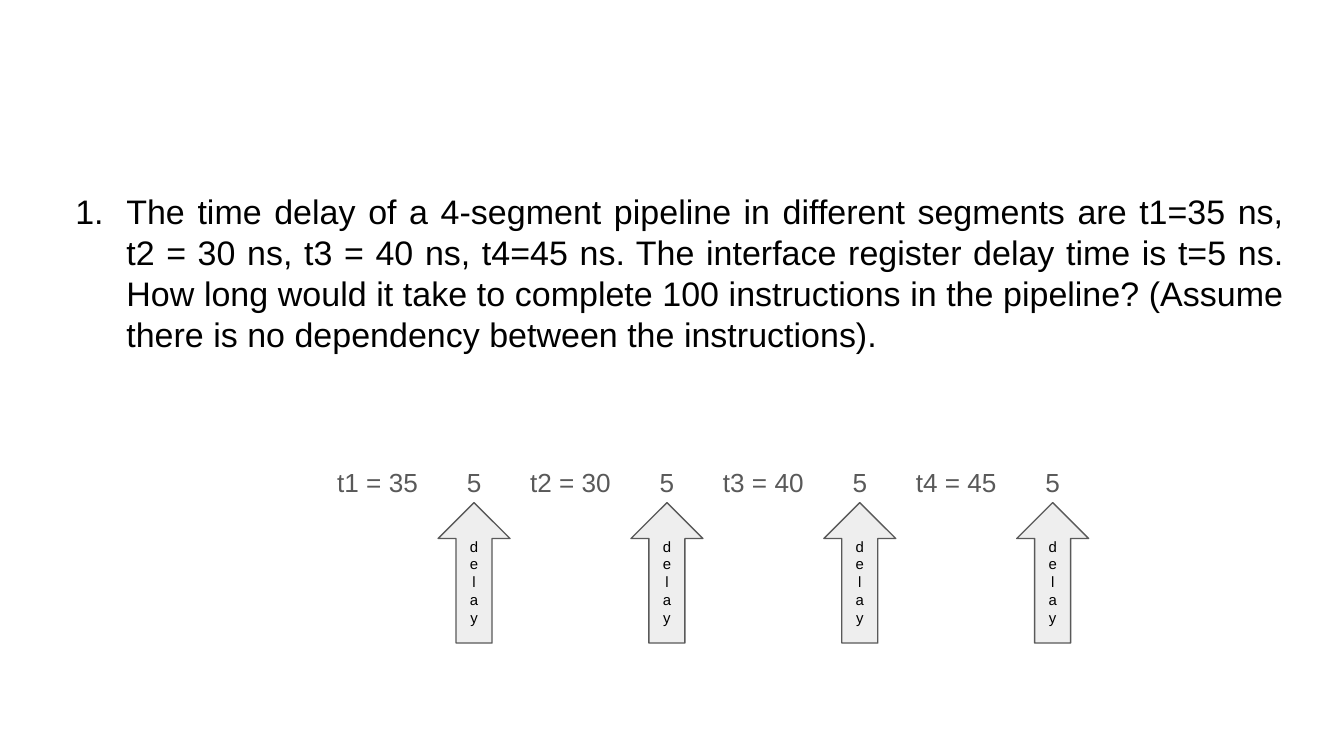
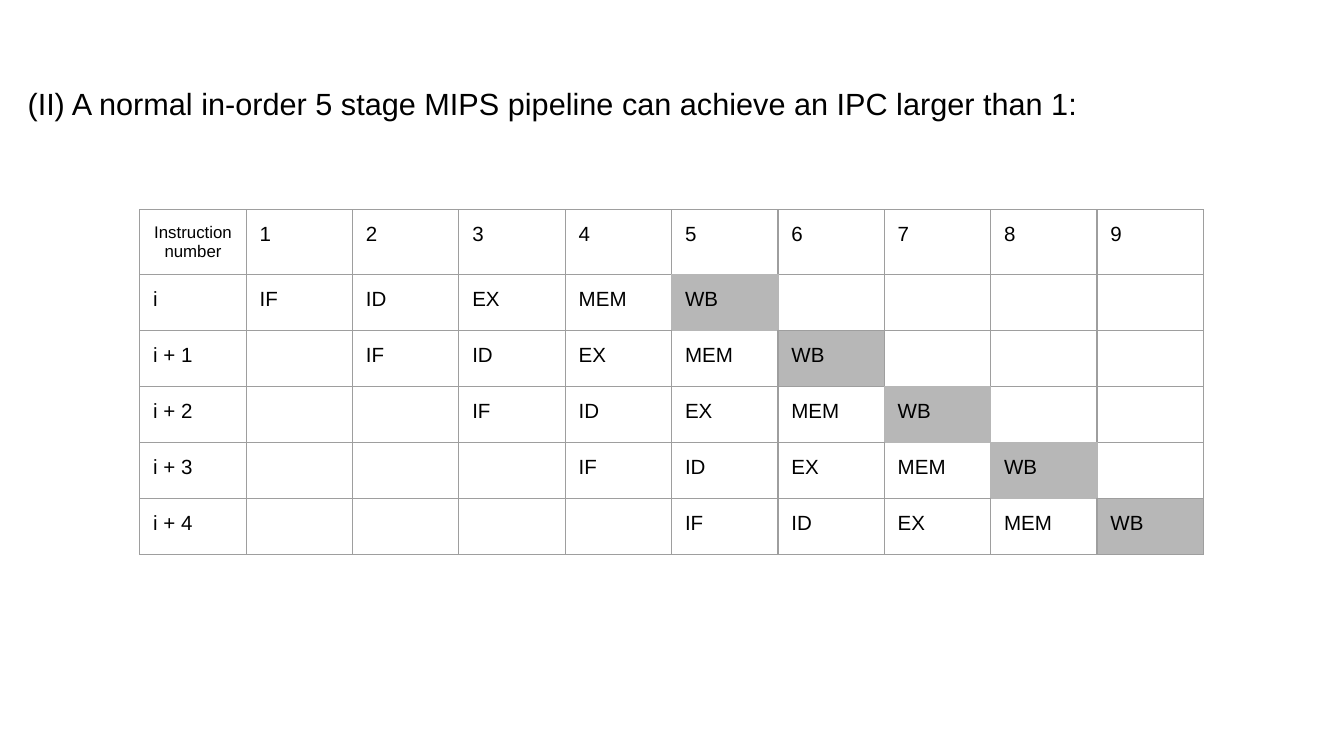
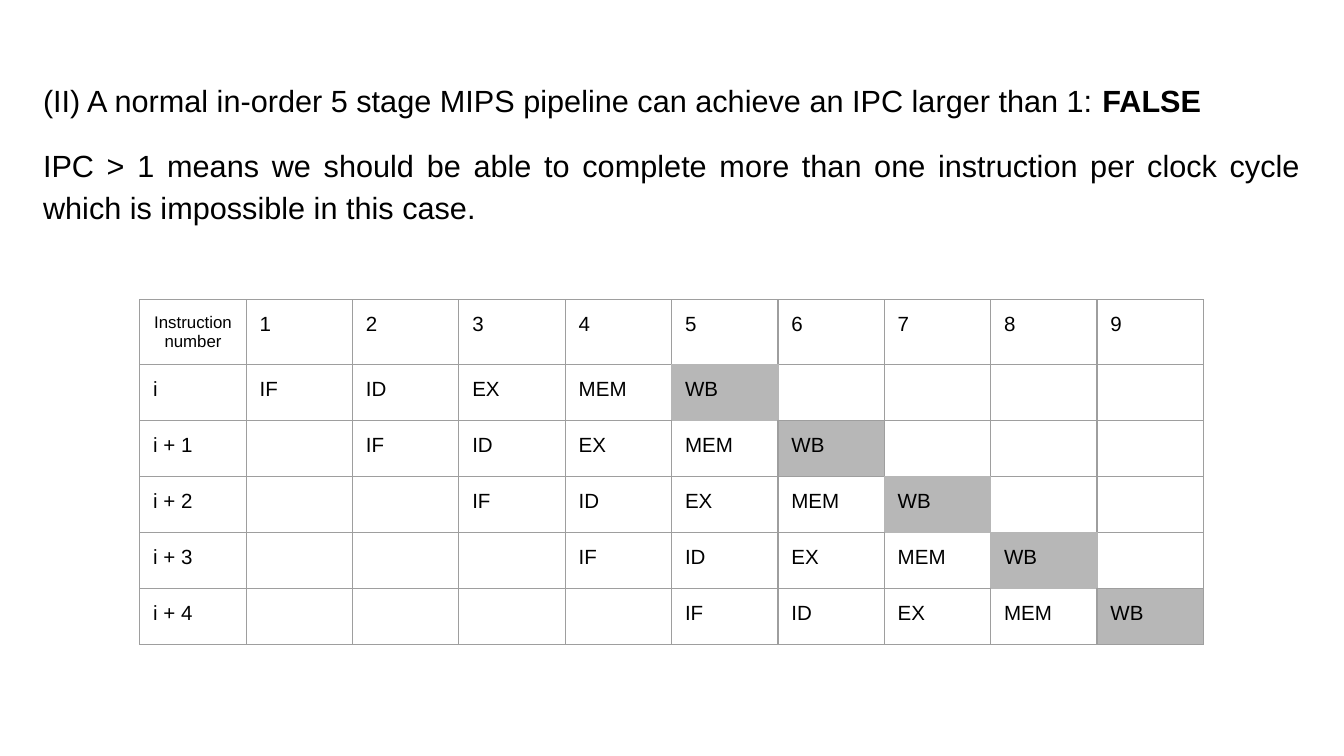
from lxml import etree
from pptx import Presentation
from pptx.dml.color import RGBColor
from pptx.enum.shapes import MSO_SHAPE
from pptx.enum.text import MSO_ANCHOR, MSO_AUTO_SIZE, PP_ALIGN
from pptx.oxml.ns import qn
from pptx.util import Emu, Pt

UP_ARROW = MSO_SHAPE.UP_ARROW
TOP, MIDDLE = MSO_ANCHOR.TOP, MSO_ANCHOR.MIDDLE
LEFT, CENTER, JUSTIFY = PP_ALIGN.LEFT, PP_ALIGN.CENTER, PP_ALIGN.JUSTIFY
NO_AUTOFIT = MSO_AUTO_SIZE.NONE

# Shared style; 200 px make one inch
EMU_PER_PX = 4572
TITLE_ONLY = 5
FONT = "Arial"
BLACK, GREY, PALE = "000000", "595959", "EEEEEE"
GRID, SHADE = "9E9E9E", "B7B7B7"
INSET = 20
THIN = 0.75

# Pipeline content
SEGMENTS = ["t1 = 35", "t2 = 30", "t3 = 40", "t4 = 45"]
STAGES = ["IF", "ID", "EX", "MEM", "WB"]
INSTRUCTIONS = ["i", "i + 1", "i + 2", "i + 3", "i + 4"]
CYCLES = 9
SOFT_EDGE_ROWS = (1, 3, 4)

QUESTION = (
    "The time delay of a 4-segment pipeline in different segments are t1=35 ns, "
    "t2 = 30 ns, t3 = 40 ns, t4=45 ns. The interface register delay time is t=5 ns. "
    "How long would it take to complete 100 instructions in the pipeline? "
    "(Assume there is no dependency between the instructions)."
)
STATEMENT = "(II) A normal in-order 5 stage MIPS pipeline can achieve an IPC larger than 1:"
REASON = (
    "IPC > 1 means we should be able to complete more than one instruction "
    "per clock cycle which is impossible in this case."
)


def px(length):
    return Emu(length * EMU_PER_PX)


def color(value):
    return RGBColor.from_string(value)


def apply(target, values):
    for name, value in values.items():
        setattr(target, name, value)


def set_margins(target):
    for side in ("left", "top", "right", "bottom"):
        setattr(target, f"margin_{side}", px(INSET))


def prepare_frame(frame, anchor):
    set_margins(frame)
    apply(frame, {"word_wrap": True, "auto_size": NO_AUTOFIT, "vertical_anchor": anchor})


def write(para, text, size, fill=BLACK, bold=False):
    span = para.add_run()
    span.text = text
    apply(span.font, {"name": FONT, "size": Pt(size), "bold": bold})
    span.font.color.rgb = color(fill)


def place(shape, left, top, width, height):
    apply(shape, {"left": px(left), "top": px(top), "width": px(width), "height": px(height)})


def add_page(deck, box, size, paragraphs, spacing):
    """Add a slide whose title holds paragraphs, each a list of (text, bold)."""
    page = deck.slides.add_slide(deck.slide_layouts[TITLE_ONLY])
    title = page.shapes.title
    place(title, *box)
    frame = title.text_frame
    prepare_frame(frame, TOP)
    for index, spans in enumerate(paragraphs):
        para = frame.add_paragraph() if index else frame.paragraphs[0]
        apply(para, {"alignment": JUSTIFY, "line_spacing": spacing,
                     "space_before": Pt(12 if index else 0)})
        for text, bold in spans:
            write(para, text, size, bold=bold)
    return page


def number_paragraph(para, margin, hang):
    properties = para._p.get_or_add_pPr()
    properties.set("marL", str(px(margin)))
    properties.set("indent", str(px(-hang)))
    tint = etree.SubElement(properties, qn("a:buClr"))
    etree.SubElement(tint, qn("a:srgbClr"), val=BLACK)
    etree.SubElement(properties, qn("a:buFont"), typeface=FONT)
    etree.SubElement(properties, qn("a:buAutoNum"), type="arabicPeriod")


def add_label(page, text, left, top, width, height):
    box = page.shapes.add_textbox(px(left), px(top), px(width), px(height))
    prepare_frame(box.text_frame, MIDDLE)
    para = box.text_frame.paragraphs[0]
    apply(para, {"alignment": CENTER, "line_spacing": 2.0})
    write(para, text, 14, GREY)


def add_delay_arrow(page, left, top, width, height):
    arrow = page.shapes.add_shape(UP_ARROW, px(left), px(top), px(width), px(height))
    arrow.shadow.inherit = False
    arrow.fill.solid()
    arrow.fill.fore_color.rgb = color(PALE)
    arrow.line.color.rgb = color(GREY)
    arrow.line.width = Pt(THIN)
    prepare_frame(arrow.text_frame, MIDDLE)
    para = arrow.text_frame.paragraphs[0]
    para.alignment = CENTER
    write(para, "delay", 8)


def add_segments(page):
    left, top, label_width, delay_width, label_height = 472, 640, 180, 107, 108
    for index, segment in enumerate(SEGMENTS):
        label_left = left + index * (label_width + delay_width)
        delay_left = label_left + label_width
        add_label(page, segment, label_left, top, label_width, label_height)
        add_label(page, "5", delay_left, top, delay_width, label_height)
        add_delay_arrow(page, delay_left, top + label_height, delay_width, 209)


def is_write_back(row, column):
    return row > 0 and column - row == len(STAGES) - 1


def has_soft_edge(row, column):
    return is_write_back(row, column) and row in SOFT_EDGE_ROWS


def set_borders(cell, row, column):
    neighbours = {"a:lnL": (row, column - 1), "a:lnR": (row, column + 1),
                  "a:lnT": (row - 1, column), "a:lnB": (row + 1, column)}
    properties = cell._tc.get_or_add_tcPr()
    for index, (tag, neighbour) in enumerate(neighbours.items()):
        soft = has_soft_edge(row, column) or has_soft_edge(*neighbour)
        edge = etree.Element(qn(tag), w=str(Pt(THIN)))
        paint = etree.SubElement(edge, qn("a:solidFill"))
        etree.SubElement(paint, qn("a:srgbClr"), val=SHADE if soft else GRID)
        properties.insert(index, edge)


def cell_text(row, column):
    if row == 0:
        return str(column) if column else "Instruction number"
    if column == 0:
        return INSTRUCTIONS[row - 1]
    stage = column - row
    return STAGES[stage] if 0 <= stage < len(STAGES) else ""


def fill_cell(cell, row, column):
    set_margins(cell)
    corner = row == column == 0
    para = cell.text_frame.paragraphs[0]
    para.alignment = CENTER if corner else LEFT
    text = cell_text(row, column)
    if text:
        write(para, text, 9 if corner else 11)
    else:
        # Keeps empty cells from growing the row
        etree.SubElement(para._p, qn("a:endParaRPr"), sz="1100")
    if is_write_back(row, column):
        cell.fill.solid()
        cell.fill.fore_color.rgb = color(SHADE)
    else:
        cell.fill.background()
    set_borders(cell, row, column)


def add_pipeline_table(page, top):
    rows, columns = len(INSTRUCTIONS) + 1, CYCLES + 1
    table = page.shapes.add_table(rows, columns, px(208), px(top), px(1583), px(500)).table
    apply(table, {"first_row": False, "horz_banding": False})
    for row in range(rows):
        for column in range(columns):
            fill_cell(table.cell(row, column), row, column)


def main():
    deck = Presentation()
    apply(deck, {"slide_width": px(2000), "slide_height": px(1125)})

    # Pipeline delay question
    page = add_page(deck, (68, 264, 1864, 324), 18.2, [[(QUESTION, False)]], 1.0)
    number_paragraph(page.shapes.title.text_frame.paragraphs[0], 100, 76)
    add_segments(page)

    # Statement on IPC
    page = add_page(deck, (21, 98, 1912, 126), 16.4, [[(STATEMENT, False)]], 1.15)
    add_pipeline_table(page, 312)

    # Statement with its answer
    answer = [[(STATEMENT + " ", False), ("FALSE", True)], [(REASON, False)]]
    page = add_page(deck, (44, 94, 1912, 246), 16.4, answer, 1.15)
    add_pipeline_table(page, 446)

    deck.save("out.pptx")


if __name__ == "__main__":
    main()
